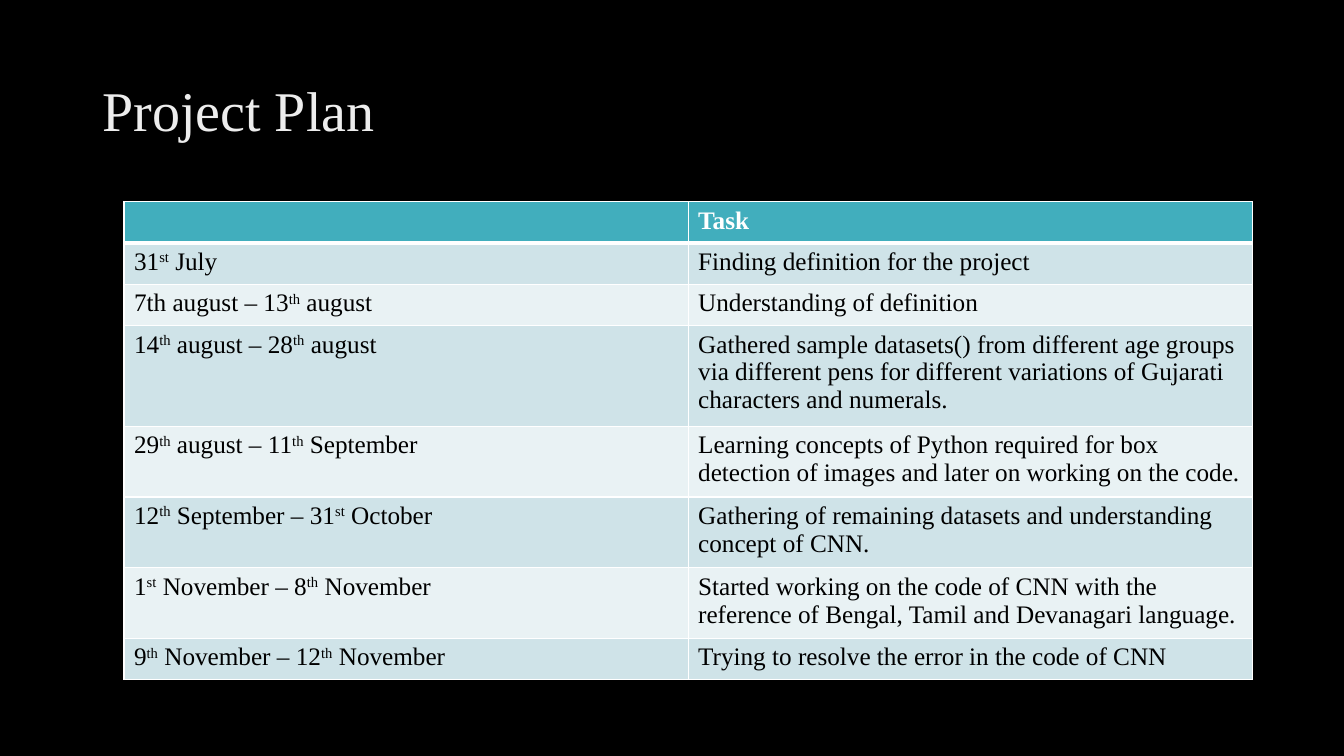
"""Build the project plan slide with its schedule table."""
from dataclasses import dataclass

from pptx import Presentation
from pptx import util as u
from pptx.dml.color import RGBColor
from pptx.enum import text
from pptx.oxml import ns, xmlchemy

BLACK = RGBColor(0x00, 0x00, 0x00)
WHITE = RGBColor(0xFF, 0xFF, 0xFF)
TITLE_GREY = RGBColor(0xED, 0xED, 0xED)
HEADER_TEAL = RGBColor(0x41, 0xAE, 0xBD)
BANDS = (RGBColor(0xE9, 0xF2, 0xF4), RGBColor(0xCF, 0xE3, 0xE8))
FONT_NAME = "Times New Roman"
SUPERSCRIPT_MARK = "^"


@dataclass(frozen=True)
class PlanRow:
    period: str
    task: str


PLAN = (
    PlanRow("", "Task"),
    PlanRow("31^st^ July", "Finding definition for the project"),
    PlanRow("7th august – 13^th^ august", "Understanding of definition"),
    PlanRow("14^th^ august – 28^th^ august",
            "Gathered sample datasets() from different age groups via different pens "
            "for different variations of Gujarati characters and numerals."),
    PlanRow("29^th^ august – 11^th^ September",
            "Learning concepts of Python required for box detection of images "
            "and later on working on the code."),
    PlanRow("12^th^ September – 31^st^ October",
            "Gathering of remaining datasets and understanding concept of CNN."),
    PlanRow("1^st^ November – 8^th^ November",
            "Started working on the code of CNN with the reference of Bengal, "
            "Tamil and Devanagari language."),
    PlanRow("9^th^ November – 12^th^ November",
            "Trying to resolve the error in the code of CNN"),
)


def write_text(paragraph, marked_text: str, size: int, color: RGBColor, bold: bool) -> None:
    """Write runs, raising every part enclosed in superscript marks."""
    font_format = {"name": FONT_NAME, "size": u.Pt(size), "bold": bold}
    for index, part in enumerate(marked_text.split(SUPERSCRIPT_MARK)):
        if not part:
            continue
        run = paragraph.add_run()
        run.text = part
        for name, value in font_format.items():
            setattr(run.font, name, value)
        run.font.color.rgb = color
        if index % 2:
            run.font._element.set("baseline", "30000")


def add_border(cell, side: str, points: int) -> None:
    """Add a white border to one side of a cell."""
    line = xmlchemy.OxmlElement(f"a:ln{side}")
    line.set("w", str(u.Pt(points)))
    fill = xmlchemy.OxmlElement("a:solidFill")
    color = xmlchemy.OxmlElement("a:srgbClr")
    color.set("val", str(WHITE))
    fill.append(color)
    line.append(fill)
    cell._tc.get_or_add_tcPr().append(line)


def style_cell(cell, marked_text: str, row_index: int) -> None:
    """Fill one table cell with its borders, colour and text."""
    is_header = row_index == 0
    widths = {"L": 1, "R": 1, "T": 3 if row_index == 1 else 1, "B": 3 if is_header else 1}
    for side, points in widths.items():
        add_border(cell, side, points)
    cell.fill.solid()
    cell.fill.fore_color.rgb = HEADER_TEAL if is_header else BANDS[row_index % 2]
    write_text(cell.text_frame.paragraphs[0], marked_text, 18,
               WHITE if is_header else BLACK, is_header)


def add_title(slide, title: str) -> None:
    """Add the slide title."""
    shape = slide.shapes.add_textbox(u.Inches(0.92), u.Inches(0.4), u.Inches(11.5), u.Inches(1.45))
    frame_format = {"word_wrap": True, "vertical_anchor": text.MSO_ANCHOR.MIDDLE}
    for name, value in frame_format.items():
        setattr(shape.text_frame, name, value)
    paragraph = shape.text_frame.paragraphs[0]
    paragraph.line_spacing = 0.9
    write_text(paragraph, title, 40, TITLE_GREY, False)


def add_plan_table(slide, plan: tuple[PlanRow, ...]) -> None:
    """Add the table of periods and tasks."""
    row_height = u.Inches(0.41)
    table = slide.shapes.add_table(len(plan), 2, u.Inches(1.23), u.Inches(2),
                                   u.Inches(11.19), row_height * len(plan)).table
    for row_index, plan_row in enumerate(plan):
        table.rows[row_index].height = row_height
        for column_index, content in enumerate((plan_row.period, plan_row.task)):
            style_cell(table.cell(row_index, column_index), content, row_index)


def main() -> None:
    """Create and save the presentation."""
    presentation = Presentation()
    presentation.slide_width = u.Inches(13.33)
    presentation.slide_height = u.Inches(7.5)
    slide = presentation.slides.add_slide(presentation.slide_layouts[6])
    slide.background.fill.solid()
    slide.background.fill.fore_color.rgb = BLACK
    add_title(slide, "Project Plan")
    add_plan_table(slide, PLAN)
    presentation.save("out.pptx")


if __name__ == "__main__":
    main()
